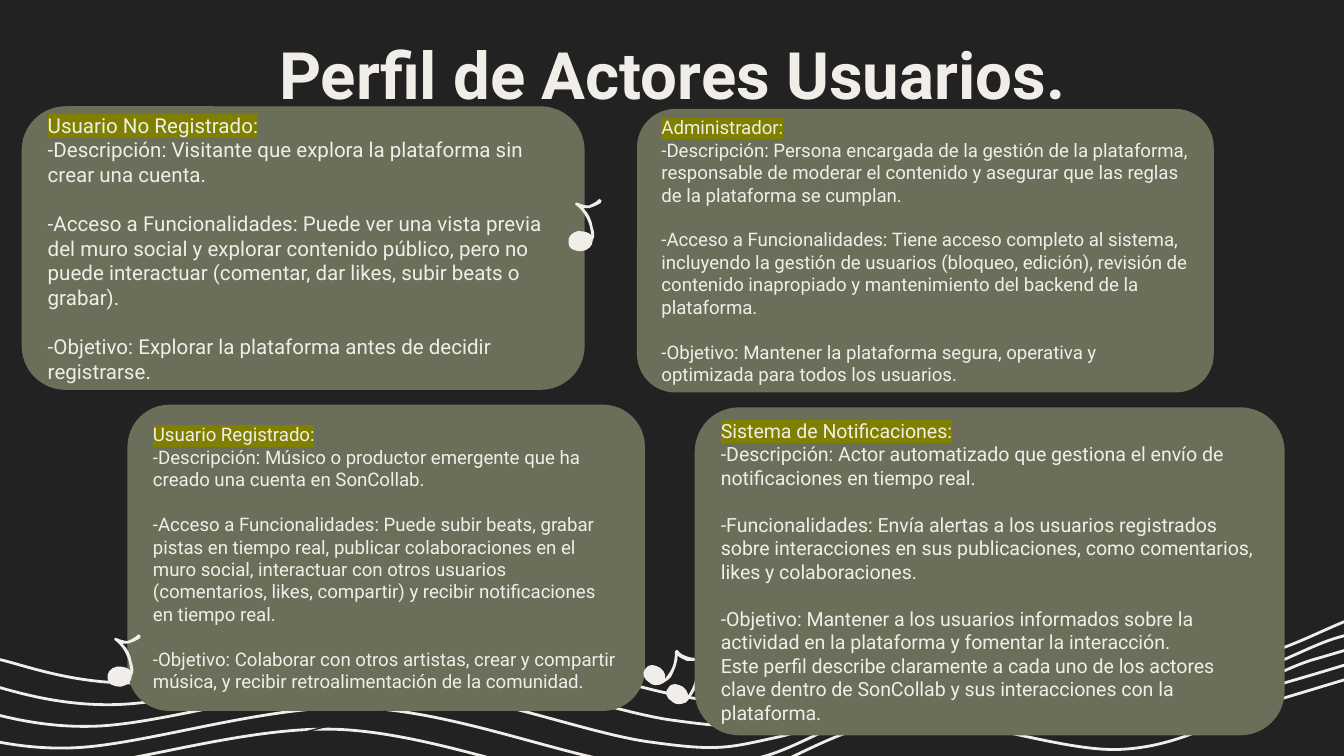
from lxml.etree import SubElement
from pptx import Presentation
from pptx.dml.color import RGBColor as Rgb
from pptx.enum.shapes import MSO_CONNECTOR as Connector, MSO_SHAPE as Shape
from pptx.enum.text import MSO_ANCHOR as Anchor, PP_ALIGN as Align
from pptx.oxml.ns import qn
from pptx.util import Cm, Pt

COLORS = {"night": "222222", "cream": "F1EEE9", "moss": "6B6F59", "olive": "808000"}
FONT = "Roboto"
LINE_HEIGHT = 1.2

STAFF_LINE = (
    (1078, 0),
    (1067, 3, 1042, 11, 1014, 19), (986, 28, 953, 51, 907, 53),
    (862, 55, 792, 27, 744, 31), (695, 35, 655, 68, 618, 76),
    (581, 84, 574, 87, 524, 80), (475, 74, 391, 40, 322, 38),
    (253, 36, 164, 66, 110, 68), (57, 70, 18, 53, 0, 50),
)
EIGHTH = (
    (24, 0),
    (21, 3, 18, 4, 16, 5), (13, 5, 10, 4, 8, 3), (6, 2, 5, 4, 7, 5),
    (12, 9, 15, 14, 17, 21), (17, 23, 18, 25, 18, 27), (16, 25, 13, 24, 8, 24),
    (3, 25, 0, 29, 1, 33), (1, 37, 5, 39, 11, 39), (16, 38, 19, 35, 19, 31),
    (21, 28, 20, 24, 19, 21), (18, 15, 16, 11, 12, 7), (13, 7, 15, 7, 16, 7),
    (19, 6, 22, 5, 25, 3), (26, 2, 26, 0, 24, 0),
)
BEAM = (
    (17, 0),
    (17, 0, 16, 0, 16, 1), (16, 7, 15, 13, 11, 18), (10, 20, 8, 22, 7, 23),
    (6, 23, 4, 24, 2, 23), (1, 23, 0, 25, 1, 26), (3, 26, 6, 25, 8, 24),
    (10, 23, 12, 21, 13, 20), (16, 14, 18, 9, 18, 4), (20, 6, 23, 7, 25, 8),
    (27, 8, 31, 8, 34, 8), (34, 10, 33, 13, 32, 18), (31, 24, 28, 32, 23, 37),
    (22, 38, 22, 39, 24, 39), (27, 36, 29, 33, 31, 29), (32, 26, 34, 22, 35, 18),
    (36, 11, 37, 6, 37, 6), (37, 6, 36, 5, 35, 5), (33, 6, 29, 6, 26, 5),
    (23, 4, 20, 3, 18, 0),
)
NOTE_HEAD = (
    (8, 0),
    (6, 0, 4, 1, 3, 3), (0, 6, 2, 11, 6, 13), (8, 15, 10, 15, 11, 15),
    (14, 15, 16, 14, 17, 13), (19, 9, 18, 5, 14, 2), (12, 1, 10, 0, 8, 0),
)

UPPER_CARDS = (
    ((0.41, 2.01, 10.64, 5.36), 0.155, 11, (
        "Usuario No Registrado:",
        "-Descripción: Visitante que explora la plataforma sin crear una cuenta.",
        "-Acceso a Funcionalidades: Puede ver una vista previa del muro social y explorar contenido público, pero no puede interactuar (comentar, dar likes, subir beats o grabar).",
        "-Objetivo: Explorar la plataforma antes de decidir registrarse.")),
    ((12.04, 2.06, 10.9, 5.36), 0.135, 10, (
        "Administrador:",
        "-Descripción: Persona encargada de la gestión de la plataforma, responsable de moderar el contenido y asegurar que las reglas de la plataforma se cumplan.",
        "-Acceso a Funcionalidades: Tiene acceso completo al sistema, incluyendo la gestión de usuarios (bloqueo, edición), revisión de contenido inapropiado y mantenimiento del backend de la plataforma.",
        "-Objetivo: Mantener la plataforma segura, operativa y optimizada para todos los usuarios.")),
    ((2.41, 7.65, 9.78, 5.79), 0.137, 10, (
        "Usuario Registrado:",
        "-Descripción: Músico o productor emergente que ha creado una cuenta en SonCollab.",
        "-Acceso a Funcionalidades: Puede subir beats, grabar pistas en tiempo real, publicar colaboraciones en el muro social, interactuar con otros usuarios (comentarios, likes, compartir) y recibir notificaciones en tiempo real.",
        "-Objetivo: Colaborar con otros artistas, crear y compartir música, y recibir retroalimentación de la comunidad.")),
)
SYSTEM_CARD = ((13.13, 7.7, 11.15, 6.2), 0.135, 10.5, (
    "Sistema de Notificaciones:",
    "-Descripción: Actor automatizado que gestiona el envío de notificaciones en tiempo real.",
    "-Funcionalidades: Envía alertas a los usuarios registrados sobre interacciones en sus publicaciones, como comentarios, likes y colaboraciones.",
    "-Objetivo: Mantener a los usuarios informados sobre la actividad en la plataforma y fomentar la interacción.",
    "Este perfil describe claramente a cada uno de los actores clave dentro de SonCollab y sus interacciones con la plataforma."))


def color(name):
    """Return the named palette colour."""
    return Rgb.from_string(COLORS[name])


def paint(item, name):
    """Fill a shape with one colour and no outline."""
    item.shadow.inherit = False
    item.fill.solid()
    item.fill.fore_color.rgb = color(name)
    item.line.fill.background()


def style(para, size, bold=False):
    """Set the font of a whole paragraph."""
    para.font.name, para.font.size, para.font.bold = FONT, Pt(size), bold
    para.font.color.rgb = color("cream")


def set_margins(frame):
    """Wrap the text and give it equal margins."""
    frame.word_wrap = True
    frame.margin_left = frame.margin_right = Cm(0.25)
    frame.margin_top = frame.margin_bottom = Cm(0.25)


def add_curve(page, curve, left, top, width, closed=True):
    """Draw a chain of cubic curves scaled to the given width."""
    unit = width / max(x for part in curve for x in part[::2])
    chain = [[(Cm(left + x * unit), Cm(top + y * unit))
              for x, y in zip(part[::2], part[1::2])] for part in curve]
    builder = page.shapes.build_freeform(*chain[0][0])
    builder.add_line_segments([points[-1] for points in chain[1:]], close=closed)
    shape = builder.convert_to_shape()
    sides = list(shape._element.iter(qn("a:lnTo")))
    for side, points in zip(sides, chain[1:]):
        side.clear()
        side.tag = qn("a:cubicBezTo")
        for x, y in points:
            SubElement(side, qn("a:pt"), x=str(x - shape.left), y=str(y - shape.top))
    paint(shape, "cream")
    return shape


def add_staff(page, left, top, width):
    """Draw five staff lines, each stepping down and to the left."""
    for row in range(5):
        line = add_curve(page, STAFF_LINE, left - 0.44 * row, top + 0.41 * row,
                         width, closed=False)
        line.fill.background()
        line.line.color.rgb = color("cream")
        line.line.width = Pt(1.5)


def add_title(page, left, top, width, height):
    """Write the centred heading."""
    frame = page.shapes.add_textbox(Cm(left), Cm(top), Cm(width), Cm(height)).text_frame
    set_margins(frame)
    para = frame.paragraphs[0]
    para.text = "Perfil de Actores Usuarios."
    para.alignment, para.line_spacing = Align.CENTER, 1.15
    style(para, 35, bold=True)


def add_card(page, box, corner, size, lines):
    """Draw a rounded card with a highlighted heading and its profile."""
    card = page.shapes.add_shape(Shape.ROUNDED_RECTANGLE, *map(Cm, box))
    card.adjustments[0] = corner
    paint(card, "moss")
    frame = card.text_frame
    set_margins(frame)
    frame.vertical_anchor = Anchor.MIDDLE
    for index, text in enumerate(lines):
        para = frame.paragraphs[0] if index == 0 else frame.add_paragraph()
        span = para.add_run()
        span.text = text
        para.alignment = Align.LEFT
        style(para, size)
        if index == 0:
            mark = SubElement(span._r.get_or_add_rPr(), qn("a:highlight"))
            SubElement(mark, qn("a:srgbClr"), val=COLORS["olive"])
        elif index > 1 and text.startswith("-"):
            para.space_before = Pt(size * LINE_HEIGHT)


def add_thread(page, start, end):
    """Draw a thin dark line with a round end."""
    thread = page.shapes.add_connector(Connector.STRAIGHT, *map(Cm, start + end))
    thread.line.color.rgb = color("night")
    thread.line.width = Pt(0.75)
    SubElement(thread.line._get_or_add_ln(), qn("a:tailEnd"), type="oval")
    SubElement(thread._element.spPr, qn("a:effectLst"))


def add_beamed_note(page, left, top):
    """Draw two note heads joined by a beam."""
    add_curve(page, BEAM, left + 0.23, top, 0.94)
    for right, down in ((0, 0.28), (0.43, 0.64)):
        add_curve(page, NOTE_HEAD, left + right, top + down, 0.48)


def main():
    """Build the deck and save it."""
    deck = Presentation()
    deck.slide_width, deck.slide_height = Cm(25.4), Cm(14.29)
    page = deck.slides.add_slide(deck.slide_layouts[6])
    page.background.fill.solid()
    page.background.fill.fore_color.rgb = color("night")
    add_staff(page, -0.1, 11.18, 27.38)
    add_title(page, 2.01, 0.18, 21.41, 1.6)
    for card in UPPER_CARDS:
        add_card(page, *card)
    add_thread(page, (7.29, 13.44), (4.75, 14.1))
    add_beamed_note(page, 12.12, 12.29)
    for left, top in ((2.01, 11.99), (10.72, 3.76)):
        add_curve(page, EIGHTH, left, top, 0.66)
    add_card(page, *SYSTEM_CARD)
    deck.save("out.pptx")


if __name__ == "__main__":
    main()
